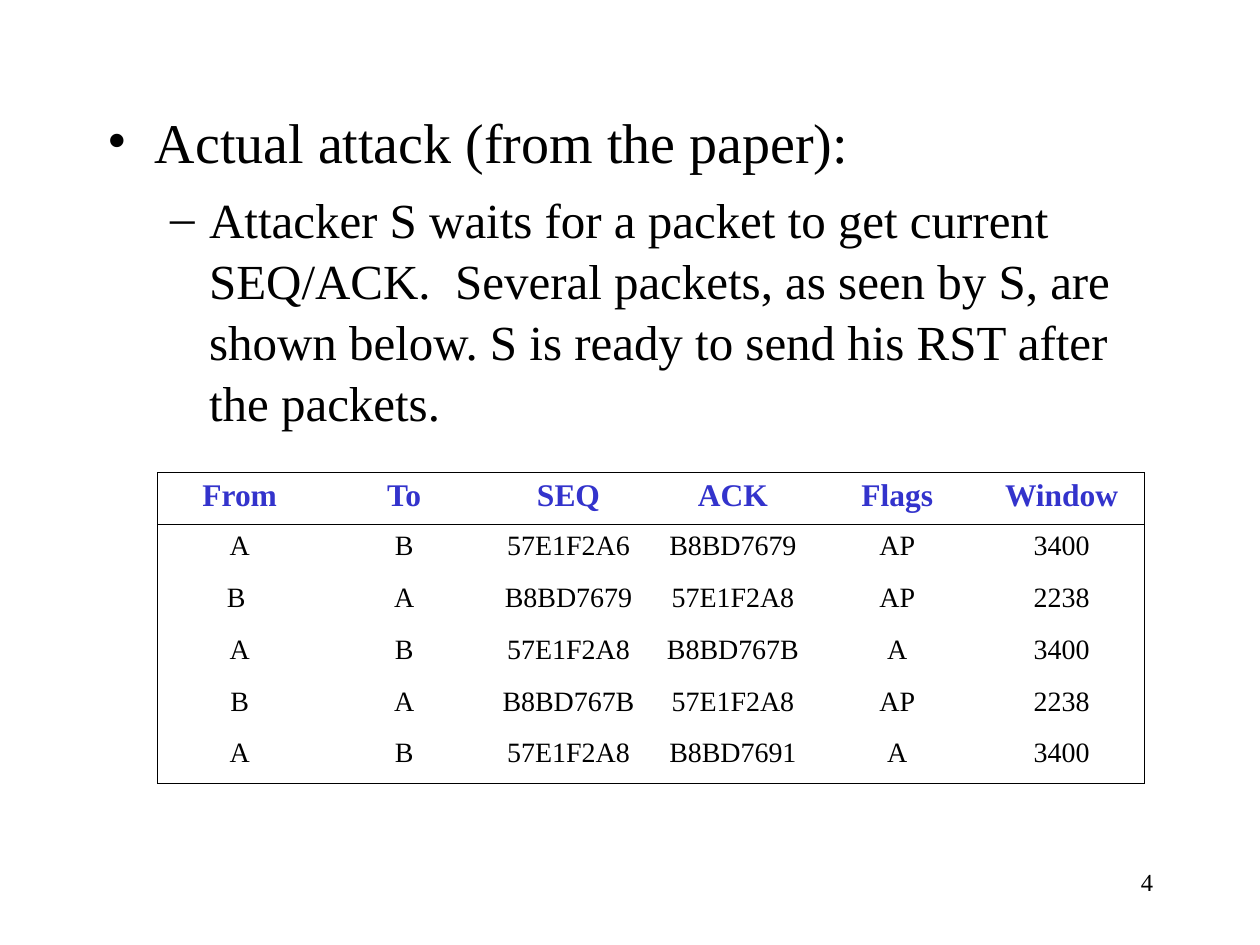
from lxml import etree
from pptx import Presentation
from pptx.dml.color import RGBColor
from pptx.enum import text
from pptx.oxml import ns
from pptx.util import Inches, Pt

FONT = "Times New Roman"
BLACK = RGBColor(0x00, 0x00, 0x00)
BLUE = RGBColor(0x33, 0x33, 0xCC)

# Content: bullets as (text, level, size, space before, bullet, left, hanging)
BULLETS = [
    ("Actual attack (from the paper):", 0, 32, 0, "•", 0.38, 0.38),
    ("Attacker S waits for a packet to get current SEQ/ACK.  Several packets, "
     "as seen by S, are shown below. S is ready to send his RST after the packets.",
     1, 28, 7, "–", 0.81, 0.31),
]
PACKETS = [
    ("From", "To", "SEQ", "ACK", "Flags", "Window"),
    ("A", "B", "57E1F2A6", "B8BD7679", "AP", "3400"),
    ("B ", "A", "B8BD7679", "57E1F2A8", "AP", "2238"),
    ("A", "B", "57E1F2A8", "B8BD767B", "A", "3400"),
    ("B", "A", "B8BD767B", "57E1F2A8", "AP", "2238"),
    ("A", "B", "57E1F2A8", "B8BD7691", "A", "3400"),
]
PAGE_NUMBER = "4"


def write(p, words, size, color=BLACK, bold=False, align=text.PP_ALIGN.LEFT):
    p.alignment = align
    r = p.add_run()
    r.text = words
    r.font.name, r.font.size, r.font.bold = FONT, Pt(size), bold
    r.font.color.rgb = color


def add_bullet(p, char, left, hanging):
    pPr = p._p.get_or_add_pPr()
    pPr.set("marL", str(Inches(left)))
    pPr.set("indent", str(-Inches(hanging)))
    etree.SubElement(pPr, ns.qn("a:buFont"), typeface=FONT)
    etree.SubElement(pPr, ns.qn("a:buChar"), char=char)


def set_borders(cell, visible):
    tcPr = cell._tc.get_or_add_tcPr()
    for side in "LRTB":
        ln = etree.SubElement(tcPr, ns.qn("a:ln" + side), w=str(Pt(0.45)))
        if side in visible:
            fill = etree.SubElement(ln, ns.qn("a:solidFill"))
            etree.SubElement(fill, ns.qn("a:srgbClr"), val=str(BLACK))
        else:
            etree.SubElement(ln, ns.qn("a:noFill"))


prs = Presentation()
prs.slide_width, prs.slide_height = Inches(10), Inches(7.5)
s = prs.slides.add_slide(prs.slide_layouts[1])
title = s.shapes.title
title._element.getparent().remove(title._element)

# Bulleted text
body = s.placeholders[1]
body.left, body.top = Inches(0.75), Inches(0.75)
body.width, body.height = Inches(8.5), Inches(5.92)
tf = body.text_frame
tf.auto_size = text.MSO_AUTO_SIZE.NONE
tf.margin_top = Inches(0.08)
for i, (words, level, size, before, char, left, hanging) in enumerate(BULLETS):
    p = tf.add_paragraph() if i else tf.paragraphs[0]
    p.level = level
    p.line_spacing = 1.04
    p.space_before = Pt(before)
    add_bullet(p, char, left, hanging)
    write(p, words, size)

# Packet table: outer frame and a rule under the header
n_rows, n_cols = len(PACKETS), len(PACKETS[0])
table = s.shapes.add_table(n_rows, n_cols, Inches(1.25), Inches(3.75),
                           Inches(7.83), Inches(2.47)).table
table.first_row = table.horz_banding = False
for i, row in enumerate(PACKETS):
    header = i == 0
    for j, words in enumerate(row):
        cell = table.cell(i, j)
        visible = [side for side, shown in (
            ("L", j == 0), ("R", j == n_cols - 1),
            ("T", i <= 1), ("B", i in (0, n_rows - 1))) if shown]
        set_borders(cell, visible)
        cell.fill.background()
        write(cell.text_frame.paragraphs[0], words, 18 if header else 16,
              color=BLUE if header else BLACK, bold=header,
              align=text.PP_ALIGN.CENTER)

# Page number
number = s.shapes.add_textbox(Inches(7.17), Inches(6.83), Inches(2.08), Inches(0.5))
number.text_frame.word_wrap = True
write(number.text_frame.paragraphs[0], PAGE_NUMBER, 14, align=text.PP_ALIGN.RIGHT)

prs.save("out.pptx")
